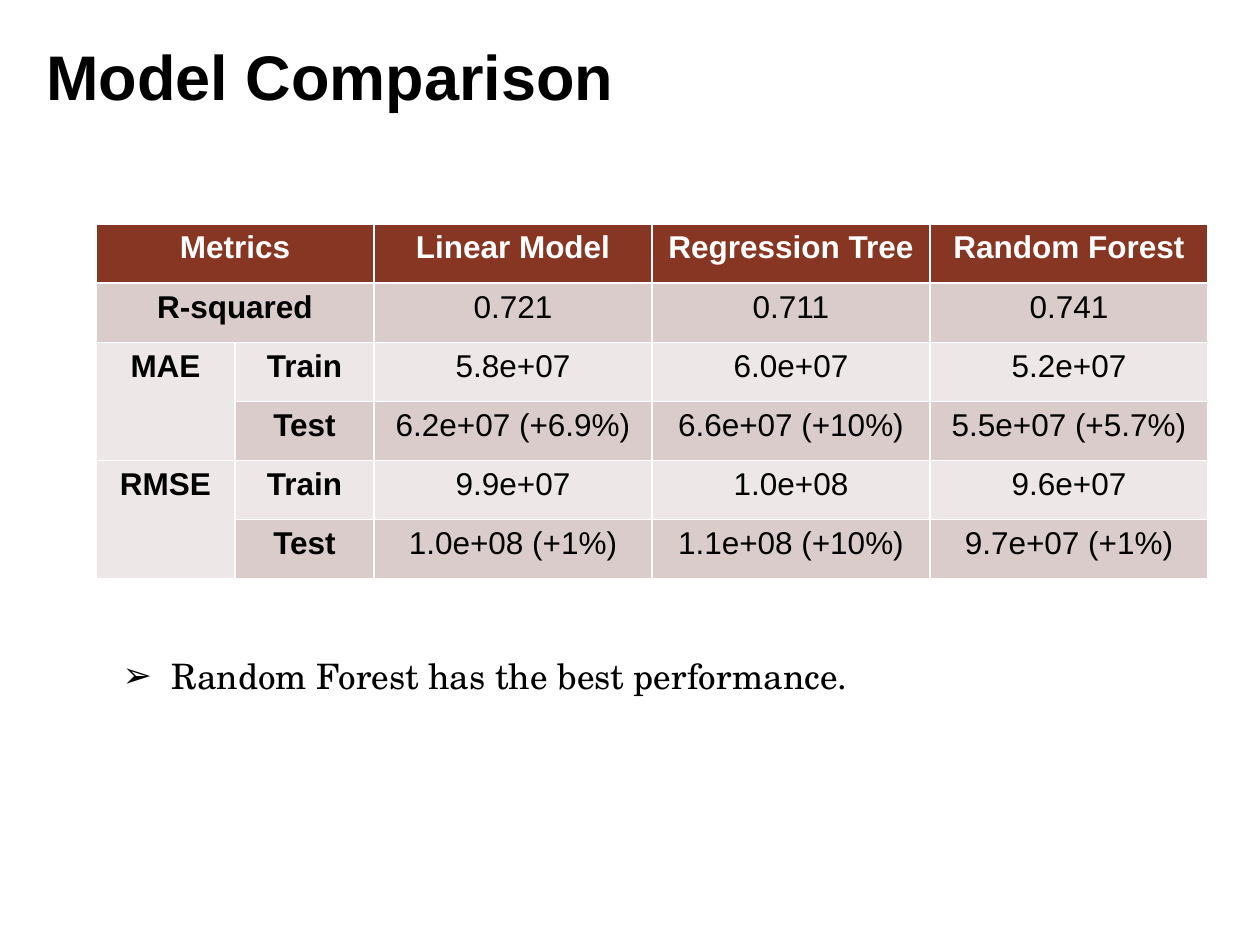
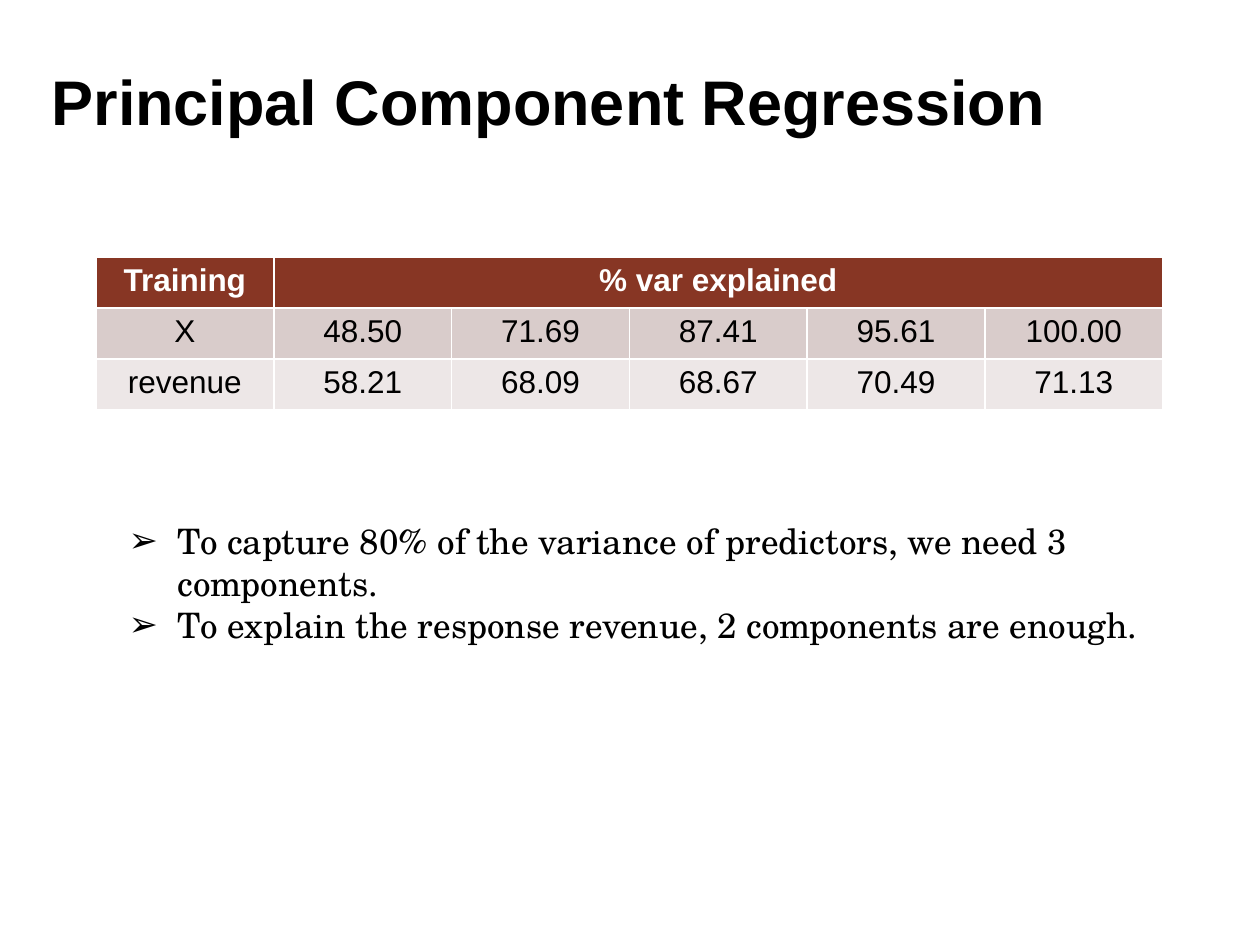
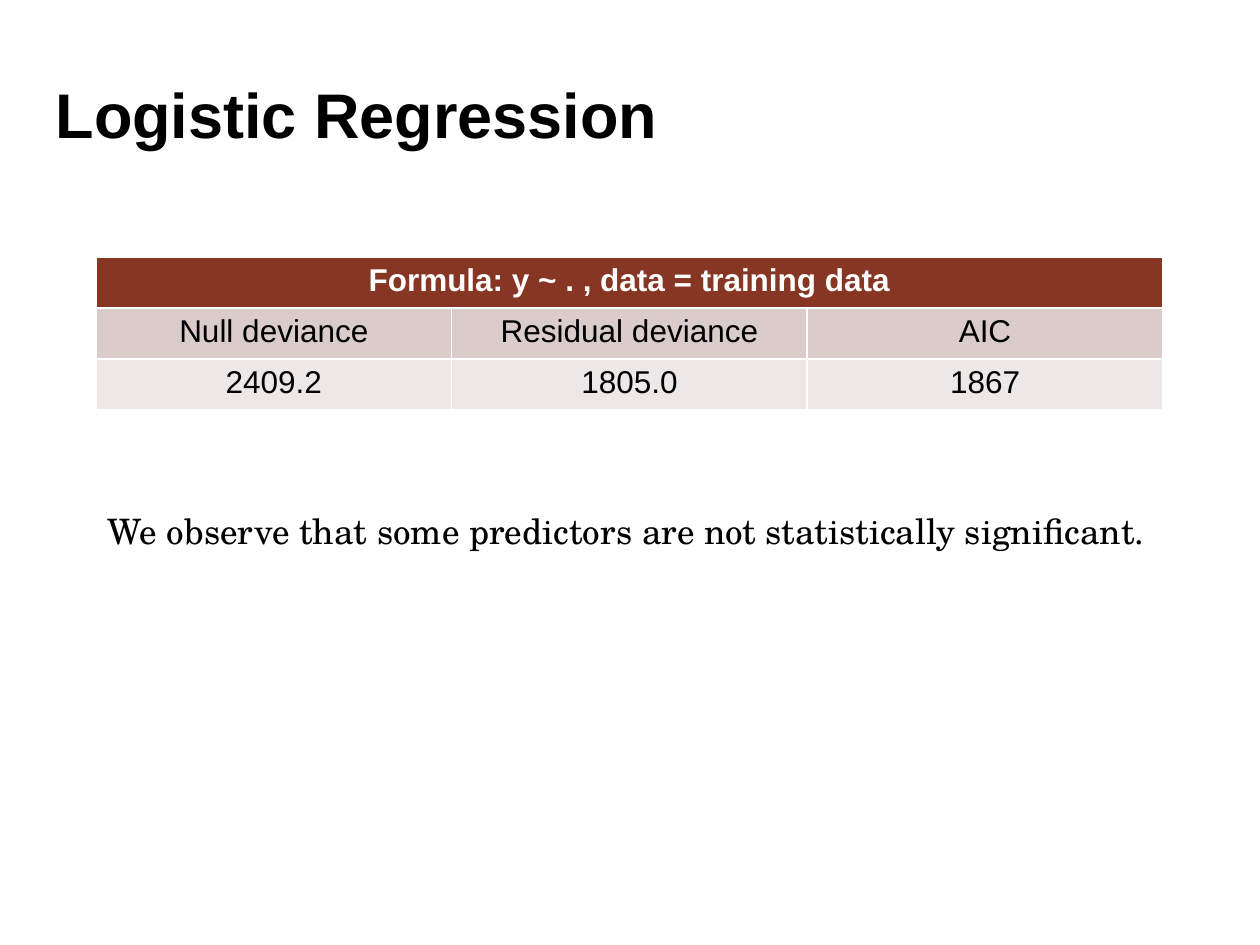
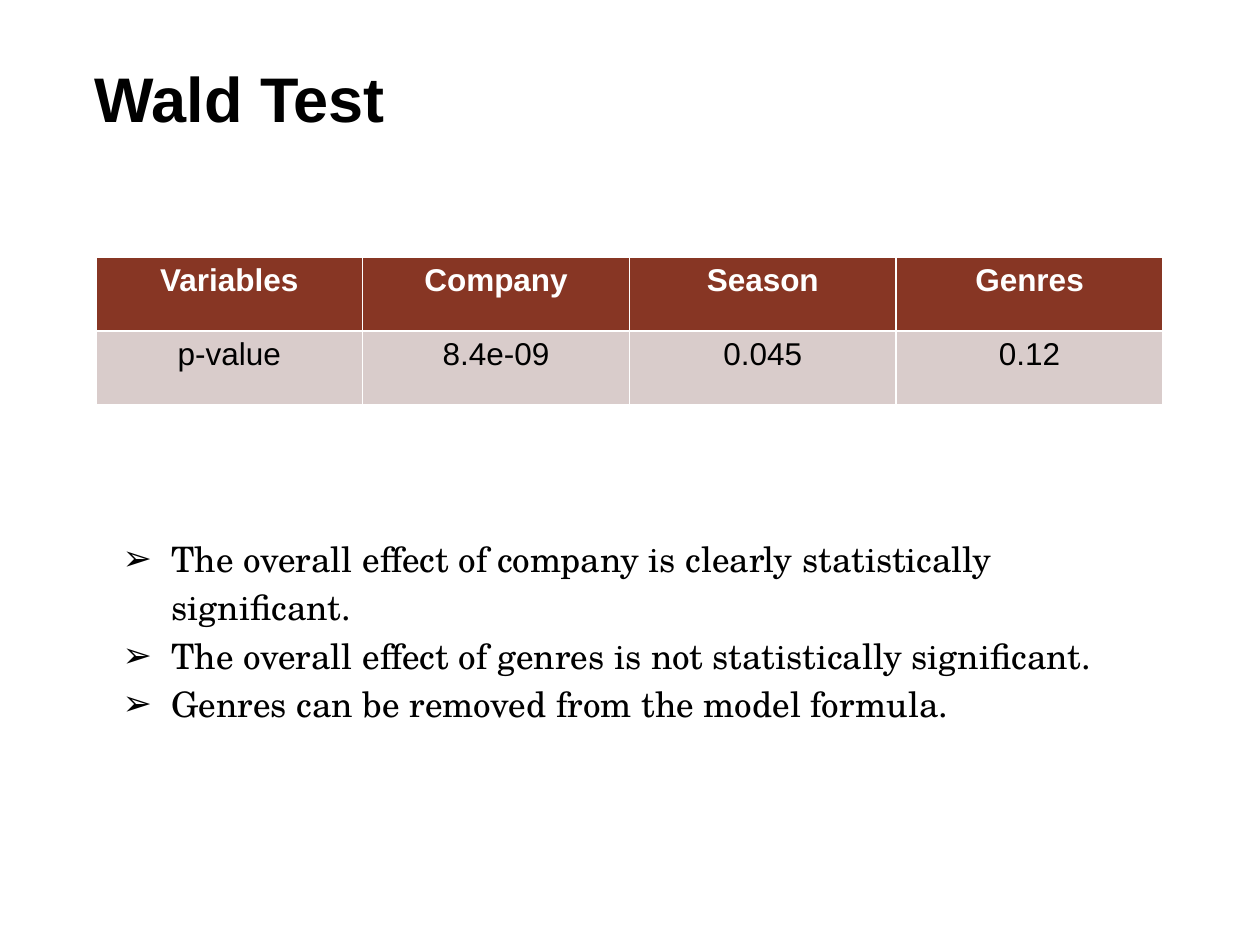
from dataclasses import dataclass
from typing import NamedTuple

from lxml import etree
from pptx import Presentation
from pptx import util as u
from pptx.dml import color
from pptx.enum import text
from pptx.oxml import ns

EMU_PER_PX = 914400 / 126


@dataclass(frozen=True)
class Theme:
    heading_font: str = "Arial"
    body_font: str = "TeX Gyre Schola"
    title_size: int = 36
    body_size: int = 20
    table_size: int = 18
    ink: str = "000000"
    header_ink: str = "FFFFFF"
    header_fill: str = "873624"
    bands: tuple = ("EDE7E7", "D9CCCB")  # even rows, odd rows
    bullet: str = "➢"


class Box(NamedTuple):
    left: int
    top: int
    width: int
    height: int


THEME = Theme()


def px(length):
    return u.Emu(round(length * EMU_PER_PX))


def rgb(value):
    return color.RGBColor.from_string(value)


def add_run(paragraph, words, font, size, ink, bold=False):
    run = paragraph.add_run()
    run.text = words
    run.font.name = font
    run.font.size = u.Pt(size)
    run.font.bold = bold
    run.font.color.rgb = rgb(ink)


def place(holder, box):
    """Move a placeholder into its box and give it a plain top-left frame."""
    holder.left, holder.top, holder.width, holder.height = map(px, box)
    frame = holder.text_frame
    frame.word_wrap = True
    frame.auto_size = text.MSO_AUTO_SIZE.NONE
    frame.vertical_anchor = text.MSO_ANCHOR.TOP
    return frame


def set_title(slide, box, words):
    frame = place(slide.shapes.title, box)
    frame.margin_top = px(13)
    heading = frame.paragraphs[0]
    heading.alignment = text.PP_ALIGN.LEFT
    add_run(heading, words, THEME.heading_font, THEME.title_size, THEME.ink, True)


def set_bullet(paragraph, bulleted):
    props = paragraph._p.get_or_add_pPr()
    props.set("marL", str(px(63) if bulleted else 0))
    props.set("indent", str(px(-49) if bulleted else 0))
    if not bulleted:
        etree.SubElement(props, ns.qn("a:buNone"))
        return
    tint = etree.SubElement(props, ns.qn("a:buClr"))
    etree.SubElement(tint, ns.qn("a:srgbClr"), val=THEME.ink)
    etree.SubElement(props, ns.qn("a:buChar"), char=THEME.bullet)


def set_findings(slide, box, findings, bulleted=True, line_spacing=1.0):
    frame = place(slide.placeholders[1], box)
    for index, finding in enumerate(findings):
        paragraph = frame.add_paragraph() if index else frame.paragraphs[0]
        set_bullet(paragraph, bulleted)
        paragraph.alignment = text.PP_ALIGN.LEFT
        paragraph.space_before = u.Pt(0)
        paragraph.line_spacing = line_spacing
        add_run(paragraph, finding, THEME.body_font, THEME.body_size, THEME.ink)


def add_results(slide, box, rows, weights=None, merges=(), label_columns=0):
    """Banded table; None marks a cell covered by a merge."""
    weights = weights or [1] * len(rows[0])
    table = slide.shapes.add_table(len(rows), len(weights), *map(px, box)).table
    for column, weight in zip(table.columns, weights):
        column.width = px(box.width * weight / sum(weights))
    for row in table.rows:
        row.height = px(box.height / len(rows))
    for first, last in merges:
        table.cell(*first).merge(table.cell(*last))

    for r, values in enumerate(rows):
        is_header = r == 0
        for c, value in enumerate(values):
            cell = table.cell(r, c)
            cell.fill.solid()
            cell.fill.fore_color.rgb = rgb(
                THEME.header_fill if is_header else THEME.bands[r % 2])
            if value is None:
                continue
            paragraph = cell.text_frame.paragraphs[0]
            paragraph.alignment = text.PP_ALIGN.CENTER
            add_run(paragraph, value, THEME.heading_font, THEME.table_size,
                    THEME.header_ink if is_header else THEME.ink,
                    is_header or c < label_columns)


def model_comparison(slide):
    set_title(slide, Box(34, 25, 1068, 98), "Model Comparison")
    add_results(
        slide, Box(96, 224, 1112, 355),
        [("Metrics", None, "Linear Model", "Regression Tree", "Random Forest"),
         ("R-squared", None, "0.721", "0.711", "0.741"),
         ("MAE", "Train", "5.8e+07", "6.0e+07", "5.2e+07"),
         (None, "Test", "6.2e+07 (+6.9%)", "6.6e+07 (+10%)", "5.5e+07 (+5.7%)"),
         ("RMSE", "Train", "9.9e+07", "1.0e+08", "9.6e+07"),
         (None, "Test", "1.0e+08 (+1%)", "1.1e+08 (+10%)", "9.7e+07 (+1%)")],
        weights=(1, 1, 2, 2, 2),
        merges=[((0, 0), (0, 1)), ((1, 0), (1, 1)),
                ((2, 0), (3, 0)), ((4, 0), (5, 0))],
        label_columns=2)
    set_findings(slide, Box(96, 648, 1033, 66),
                 ["Random Forest has the best performance."])


def principal_components(slide):
    set_title(slide, Box(39, 49, 1094, 105), "Principal Component Regression")
    add_results(
        slide, Box(96, 257, 1067, 153),
        [("Training", "% var explained", None, None, None, None),
         ("X", "48.50", "71.69", "87.41", "95.61", "100.00"),
         ("revenue", "58.21", "68.09", "68.67", "70.49", "71.13")],
        merges=[((0, 1), (0, 5))])
    set_findings(slide, Box(102, 513, 1061, 226), [
        "To capture 80% of the variance of predictors, we need 3 components.",
        "To explain the response revenue, 2 components are enough."])


def logistic_regression(slide):
    set_title(slide, Box(43, 63, 1068, 127), "Logistic Regression")
    add_results(
        slide, Box(96, 257, 1067, 153),
        [("Formula: y ~ . , data = training data", None, None),
         ("Null deviance", "Residual deviance", "AIC"),
         ("2409.2", "1805.0", "1867")],
        merges=[((0, 0), (0, 2))])
    set_findings(
        slide, Box(95, 503, 1068, 71),
        ["We observe that some predictors are not statistically significant."],
        bulleted=False)


def wald_test(slide):
    set_title(slide, Box(82, 47, 1068, 102), "Wald Test")
    add_results(
        slide, Box(96, 257, 1067, 148),
        [("Variables", "Company", "Season", "Genres"),
         ("p-value", "8.4e-09", "0.045", "0.12")])
    set_findings(slide, Box(96, 525, 1077, 160), [
        "The overall effect of company is clearly statistically significant.",
        "The overall effect of genres is not statistically significant.",
        "Genres can be removed from the model formula."], line_spacing=1.15)


def main():
    deck = Presentation()
    deck.slide_width, deck.slide_height = px(1260), px(945)
    title_and_content = deck.slide_layouts[1]
    for build in (model_comparison, principal_components,
                  logistic_regression, wald_test):
        build(deck.slides.add_slide(title_and_content))
    deck.save("out.pptx")


if __name__ == "__main__":
    main()
